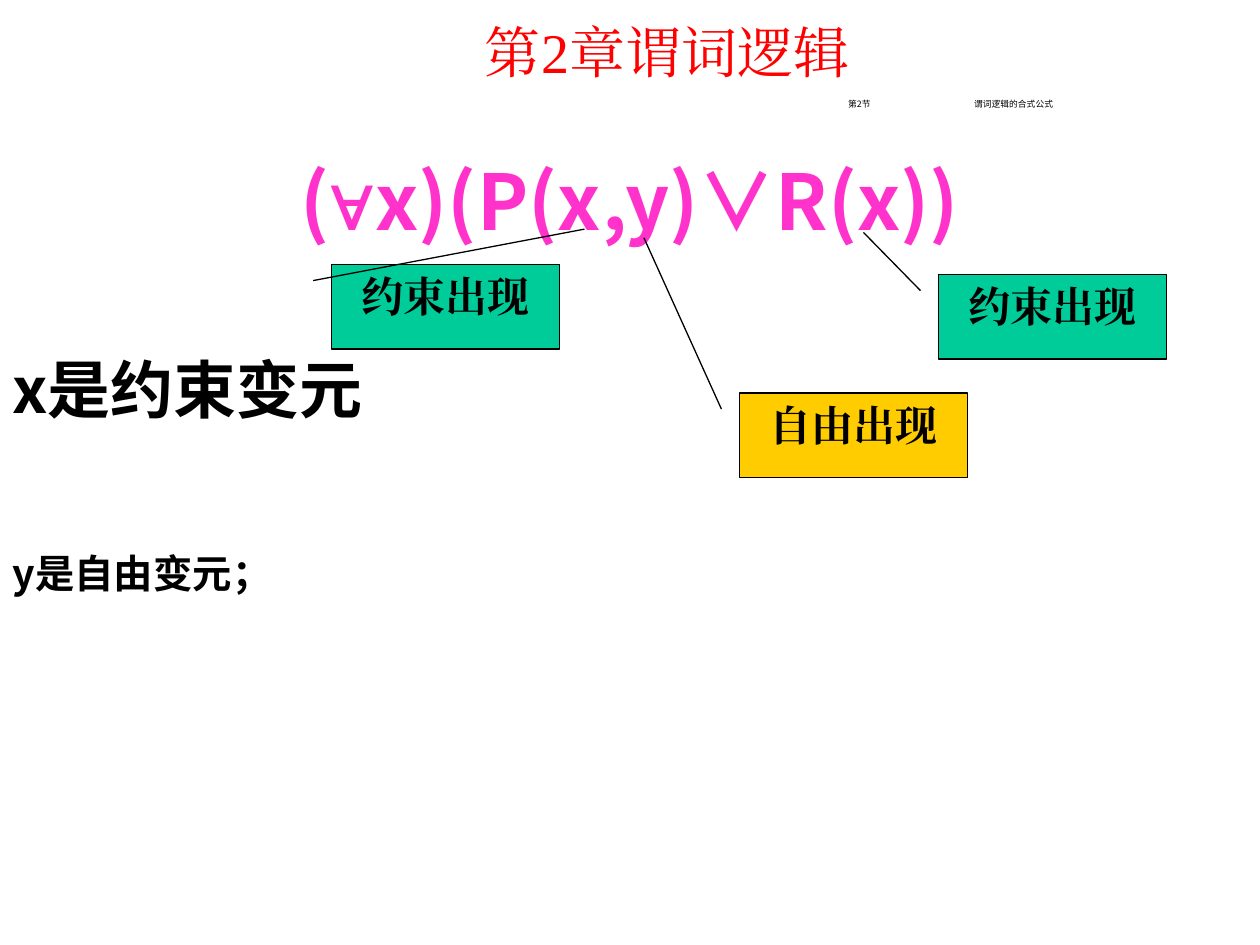
from dataclasses import dataclass

from lxml import etree
from pptx import Presentation
from pptx.dml.color import RGBColor
from pptx.enum import shapes, text
from pptx.oxml import ns
from pptx.util import Inches, Pt

BLACK = RGBColor(0x00, 0x00, 0x00)
RED = RGBColor(0xFF, 0x00, 0x00)
PINK = RGBColor(0xFF, 0x33, 0xCC)
GREEN = RGBColor(0x00, 0xCC, 0x99)
YELLOW = RGBColor(0xFF, 0xCC, 0x00)
SERIF = "Times New Roman"
SANS = "Noto Sans CJK JP"
SECTION_FONT = "Noto Sans CJK SC"
CENTER = text.PP_ALIGN.CENTER
LEFT = text.PP_ALIGN.LEFT


@dataclass
class Callout:
    label: str
    left: float
    top: float
    fill: RGBColor
    tip_y: float
    tip_x: float


CALLOUTS = [
    Callout("约束出现", 2.63, 2.1, GREEN, -0.42, 1.11),
    Callout("约束出现", 7.45, 2.18, GREEN, -0.5, -0.33),
    Callout("自由出现", 5.87, 3.12, YELLOW, -1.84, -0.42),
]


def add_run(p, content: str, *, size: float, font: str = SANS,
            color: RGBColor = BLACK, bold: bool = False) -> None:
    r = p.add_run()
    r.text = content
    r.font.size = Pt(size)
    r.font.name = font
    r.font.bold = bold
    r.font.color.rgb = color
    ea = etree.SubElement(r.font._element, ns.qn("a:ea"))
    ea.set("typeface", font)


def add_text(s, content: str, left: float, top: float, width: float, height: float, *,
             align=LEFT, anchor=text.MSO_ANCHOR.TOP, spacing: float = 1.0, **style):
    tb = s.shapes.add_textbox(Inches(left), Inches(top), Inches(width), Inches(height))
    tf = tb.text_frame
    tf.word_wrap = True
    tf.vertical_anchor = anchor
    p = tf.paragraphs[0]
    p.alignment = align
    p.line_spacing = spacing
    add_run(p, content, **style)
    return tb


def add_inch_tabs(p) -> None:
    tabs = etree.SubElement(p._p.get_or_add_pPr(), ns.qn("a:tabLst"))
    for inch in range(8):
        etree.SubElement(tabs, ns.qn("a:tab"), pos=str(Inches(inch)), algn="l")


def add_callout(s, c: Callout) -> None:
    sp = s.shapes.add_shape(shapes.MSO_SHAPE.LINE_CALLOUT_1, Inches(c.left),
                            Inches(c.top), Inches(1.81), Inches(0.67))
    sp.shadow.inherit = False
    for i, value in enumerate((0.19, -0.08, c.tip_y, c.tip_x)):
        sp.adjustments[i] = value
    sp.fill.solid()
    sp.fill.fore_color.rgb = c.fill
    sp.line.color.rgb = BLACK
    sp.line.width = Pt(0.75)
    tf = sp.text_frame
    tf.word_wrap = True
    tf.vertical_anchor = text.MSO_ANCHOR.TOP
    p = tf.paragraphs[0]
    p.alignment = CENTER
    add_run(p, c.label, size=24, font=SERIF, bold=True)


def add_formula(s) -> None:
    sp = s.shapes.title
    sp.left, sp.top, sp.width, sp.height = Inches(0), Inches(1.17), Inches(10), Inches(0.83)
    tf = sp.text_frame
    tf.vertical_anchor = text.MSO_ANCHOR.MIDDLE
    tf.auto_size = text.MSO_AUTO_SIZE.NONE
    p = tf.paragraphs[0]
    p.alignment = CENTER
    for part, font in (("(", SANS), ("∀", "Arial"), ("x)(P(x,y)∨R(x))", SANS)):
        add_run(p, part, size=44, font=font, color=PINK, bold=True)


def main() -> None:
    prs = Presentation()
    prs.slide_width, prs.slide_height = Inches(10), Inches(7.5)
    s = prs.slides.add_slide(prs.slide_layouts[5])
    add_text(s, "第2章谓词逻辑", 3.17, 0.09, 4.25, 0.64, align=CENTER,
             size=32, font=SERIF, color=RED)
    section = add_text(s, "第2节\t谓词逻辑的合式公式", 5.17, 0.76, 4.75, 0.14, align=CENTER,
                       anchor=text.MSO_ANCHOR.MIDDLE, spacing=0.8, size=5, font=SECTION_FONT)
    add_inch_tabs(section.text_frame.paragraphs[0])
    add_formula(s)
    add_text(s, "x是约束变元", 0, 2.73, 4.84, 1.5, size=36, bold=True)
    add_text(s, "y是自由变元；", 0, 4.38, 3.87, 0.5, spacing=0.8, size=22.5, bold=True)
    for c in CALLOUTS:
        add_callout(s, c)
    prs.save("out.pptx")


if __name__ == "__main__":
    main()
